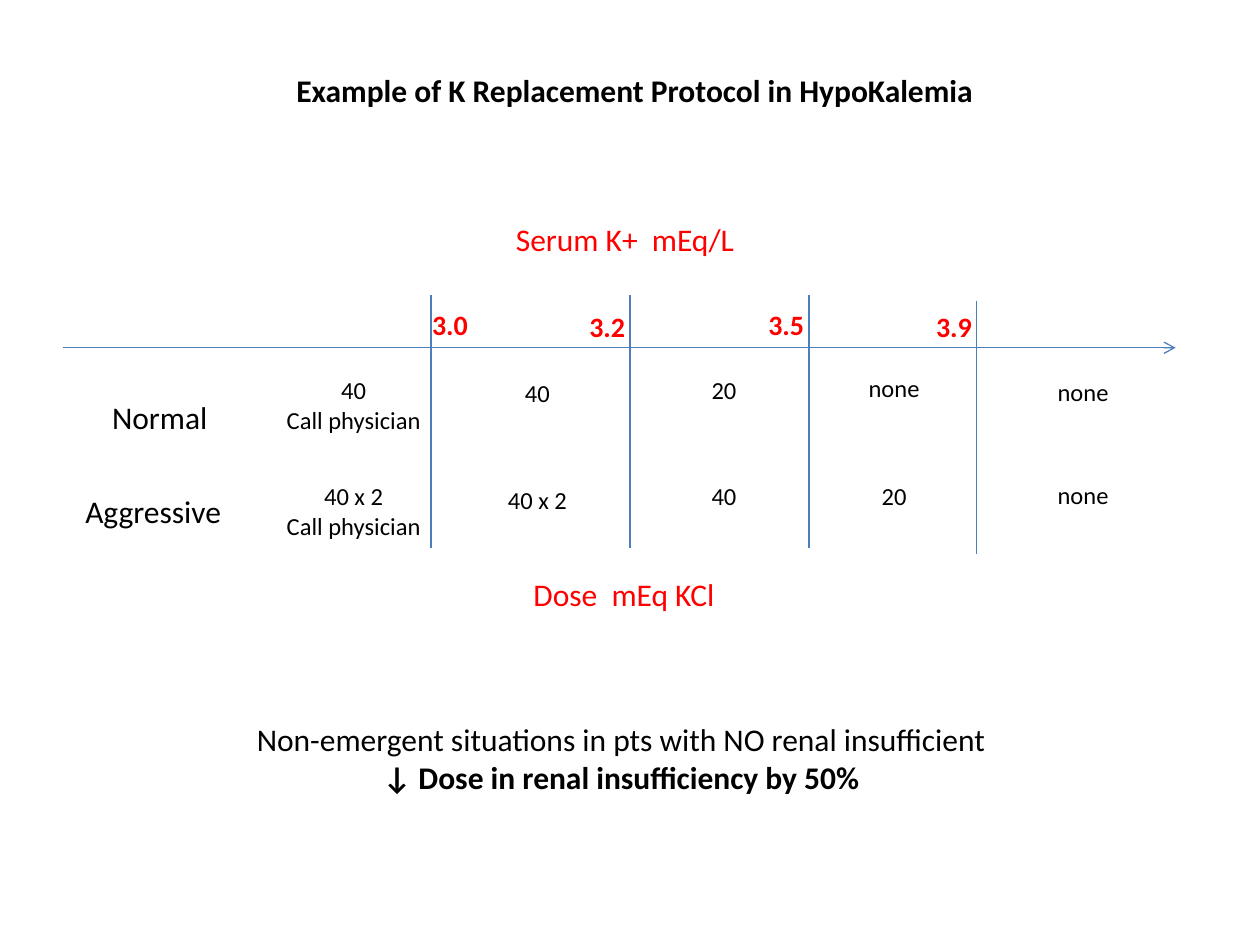
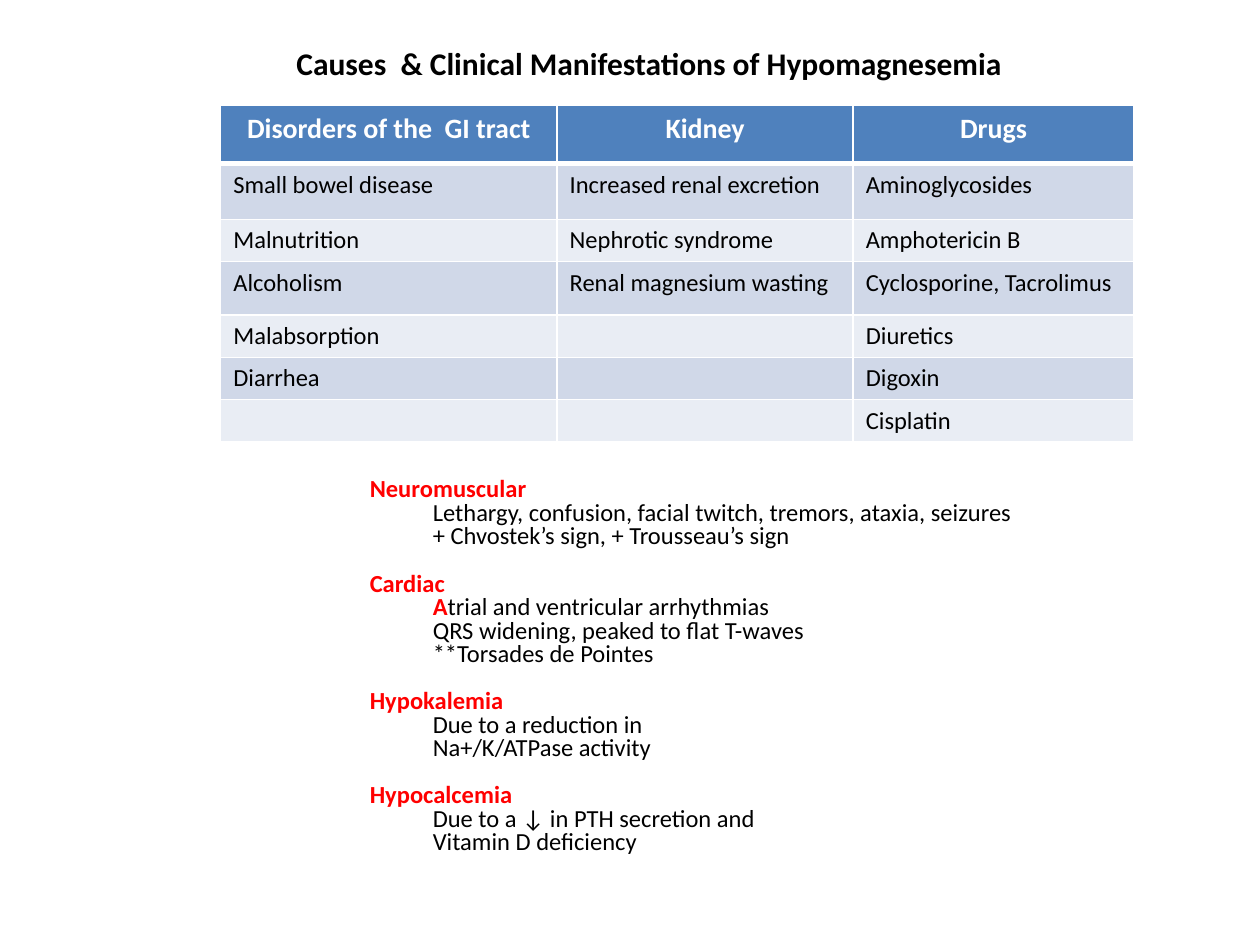
from lxml import etree
from pptx import Presentation
from pptx.dml.color import RGBColor
from pptx.enum.shapes import MSO_CONNECTOR
from pptx.enum.text import MSO_ANCHOR, MSO_AUTO_SIZE, PP_ALIGN
from pptx.oxml.ns import qn
from pptx.util import Cm, Pt

LEFT, CENTER = PP_ALIGN.LEFT, PP_ALIGN.CENTER
TOP = MSO_ANCHOR.TOP
NO_FIT = MSO_AUTO_SIZE.NONE
STRAIGHT = MSO_CONNECTOR.STRAIGHT

FONT = "Calibri"
BLACK = RGBColor(0x00, 0x00, 0x00)
WHITE = RGBColor(0xFF, 0xFF, 0xFF)
RED = RGBColor(0xFF, 0x00, 0x00)
LINE_BLUE = RGBColor(0x4B, 0x7E, 0xBC)
HEADER_BLUE = RGBColor(0x4F, 0x81, 0xBD)
BANDS = RGBColor(0xD0, 0xD8, 0xE8), RGBColor(0xE9, 0xED, 0xF4)

PROTOCOL_TITLE = "Example of K Replacement Protocol in HypoKalemia"
AXIS = 1.27, 23.7, 7.01
DIVIDER_HEIGHT = 5.1
THRESHOLDS = [
    ("3.0", 8.46, 6.07, 8.69, 5.94),
    ("3.2", 11.63, 6.12, 12.7, 5.94),
    ("3.5", 15.24, 6.07, 16.31, 5.94),
    ("3.9", 18.62, 6.12, 19.69, 6.07),
]
AXIS_CAPTIONS = [
    ("Serum K+  mEq/L", 9.96, 4.32, 5.28),
    ("Dose  mEq KCl", 10.46, 11.46, 4.24),
]
DOSE_COLUMNS = [(5.38, 3.5), (9.96, 1.75), (13.72, 1.75), (17.15, 1.75), (20.96, 1.75)]
REGIMENS = [
    ("Normal", 2.01, 7.9, [
        ("40\nCall physician", 7.44), ("40", 7.49), ("20", 7.44),
        ("none", 7.39), ("none", 7.47)]),
    ("Aggressive", 1.47, 9.8, [
        ("40 x 2\nCall physician", 9.58), ("40 x 2", 9.65), ("40", 9.58),
        ("20", 9.58), ("none", 9.55)]),
]
RENAL_NOTES = [
    ("Non-emergent situations in pts with NO renal insufficient", False),
    ("↓ Dose in renal insufficiency by 50%", True),
]

CAUSES_TITLE = "Causes  & Clinical Manifestations of Hypomagnesemia"
CAUSES = [
    ("Disorders of the  GI tract", "Kidney", "Drugs"),
    ("Small bowel disease", "Increased renal excretion", "Aminoglycosides"),
    ("Malnutrition", "Nephrotic syndrome", "Amphotericin B"),
    ("Alcoholism", "Renal magnesium wasting", "Cyclosporine, Tacrolimus"),
    ("Malabsorption", "", "Diuretics"),
    ("Diarrhea", "", "Digoxin"),
    ("", "", "Cisplatin"),
]
CAUSE_WIDTHS = 6.78, 5.97, 5.66
CAUSE_HEIGHTS = 1.17, 1.12, 0.84, 1.07, 0.84, 0.84, 0.84
MANIFESTATIONS = [
    ("Neuromuscular", [
        [("Lethargy, confusion, facial twitch, tremors, ataxia, seizures", False)],
        [("+ Chvostek’s sign, + Trousseau’s sign", False)]]),
    ("Cardiac", [
        [("A", True), ("trial and ventricular arrhythmias", False)],
        [("QRS widening, peaked to flat T-waves", False)],
        [("**Torsades de Pointes", False)]]),
    ("Hypokalemia", [
        [("Due to a reduction in", False)],
        [("Na+/K/ATPase activity", False)]]),
    ("Hypocalcemia", [
        [("Due to a ↓ in PTH secretion and", False)],
        [("Vitamin D deficiency", False)]]),
]


def add_run(p, text, size, color=BLACK, bold=False):
    r = p.add_run()
    r.text = text
    r.font.name = FONT
    r.font.size = Pt(size)
    r.font.bold = bold
    r.font.color.rgb = color


def next_paragraph(tf, index):
    return tf.add_paragraph() if index else tf.paragraphs[0]


def place(sp, left, top, width, height):
    sp.left, sp.top, sp.width, sp.height = Cm(left), Cm(top), Cm(width), Cm(height)
    tf = sp.text_frame
    tf.word_wrap = True
    tf.auto_size = NO_FIT
    tf.vertical_anchor = TOP
    return tf


def add_title(slide, text, top):
    p = place(slide.shapes.title, 5.72, top, 15.24, 1.02).paragraphs[0]
    p.alignment = LEFT
    add_run(p, text, 18, bold=True)


def add_text(slide, lines, left, top, width, size, color=BLACK, align=LEFT):
    height = round(0.25 + len(lines) * size * 0.043, 2)
    sp = slide.shapes.add_textbox(0, 0, 0, 0)
    tf = place(sp, left, top, width, height)
    for i, (text, bold) in enumerate(lines):
        p = next_paragraph(tf, i)
        p.alignment = align
        add_run(p, text, size, color, bold)


def add_line(slide, x1, y1, x2, y2, arrow=False):
    cx = slide.shapes.add_connector(STRAIGHT, Cm(x1), Cm(y1), Cm(x2), Cm(y2))
    cx.line.color.rgb = LINE_BLUE
    cx.line.width = Pt(0.75)
    if arrow:
        etree.SubElement(cx.line._get_or_add_ln(), qn("a:tailEnd"), type="arrow")
    etree.SubElement(cx._element.spPr, qn("a:effectLst"))


def set_borders(cell, header):
    tcPr = cell._tc.get_or_add_tcPr()
    for side in "LRTB":
        width = 3 if header and side == "B" else 1
        ln = etree.SubElement(tcPr, qn("a:ln" + side), w=str(Pt(width)))
        fill = etree.SubElement(ln, qn("a:solidFill"))
        etree.SubElement(fill, qn("a:srgbClr"), val=str(WHITE))


def build_protocol(prs):
    slide = prs.slides.add_slide(prs.slide_layouts[5])
    add_title(slide, PROTOCOL_TITLE, 1.3)
    start, end, y = AXIS
    add_line(slide, start, y, end, y, arrow=True)
    for value, left, top, x, line_top in THRESHOLDS:
        add_text(slide, [(value, True)], left, top, 1.27, 16, RED)
        add_line(slide, x, line_top, x, line_top + DIVIDER_HEIGHT)
    for text, left, top, width in AXIS_CAPTIONS:
        add_text(slide, [(text, False)], left, top, width, 18, RED, CENTER)
    for name, left, top, doses in REGIMENS:
        add_text(slide, [(name, False)], left, top, 3.6, 18)
        for (dose, dose_top), (dose_left, width) in zip(doses, DOSE_COLUMNS):
            lines = [(line, False) for line in dose.split("\n")]
            add_text(slide, lines, dose_left, dose_top, width, 14, align=CENTER)
    add_text(slide, RENAL_NOTES, 3.23, 14.4, 18.59, 18, align=CENTER)


def add_causes_table(slide):
    table = slide.shapes.add_table(
        len(CAUSES), len(CAUSE_WIDTHS), Cm(4.45), Cm(2.13),
        Cm(sum(CAUSE_WIDTHS)), Cm(sum(CAUSE_HEIGHTS))).table
    for column, width in zip(table.columns, CAUSE_WIDTHS):
        column.width = Cm(width)
    for i, (row, height) in enumerate(zip(CAUSES, CAUSE_HEIGHTS)):
        table.rows[i].height = Cm(height)
        header = i == 0
        for j, text in enumerate(row):
            cell = table.cell(i, j)
            set_borders(cell, header)
            cell.fill.solid()
            cell.fill.fore_color.rgb = HEADER_BLUE if header else BANDS[(i - 1) % 2]
            p = cell.text_frame.paragraphs[0]
            if header:
                p.alignment = CENTER
                add_run(p, text, 16, WHITE, True)
            elif text:
                add_run(p, text, 14)
            else:
                etree.SubElement(p._p, qn("a:endParaRPr"), sz="1400")


def add_manifestations(slide):
    tf = place(slide.placeholders[1], 7.2, 9.53, 13.76, 7.92)
    count = 0
    for heading, signs in MANIFESTATIONS:
        for level, runs in [(0, [(heading, True)])] + [(1, s) for s in signs]:
            p = next_paragraph(tf, count)
            p.level = level
            pPr = p._p.get_or_add_pPr()
            pPr.set("marL", str(Cm(1.27 * level)))
            pPr.set("indent", "0")
            etree.SubElement(pPr, qn("a:buNone"))
            p.line_spacing = 0.8
            p.space_before = Pt(13.5 if count and level == 0 else 0)
            for text, strong in runs:
                add_run(p, text, 14, RED if strong else BLACK, strong)
            count += 1


def build_causes(prs):
    slide = prs.slides.add_slide(prs.slide_layouts[1])
    add_title(slide, CAUSES_TITLE, 0.76)
    add_causes_table(slide)
    add_manifestations(slide)


def main():
    prs = Presentation()
    prs.slide_width, prs.slide_height = Cm(25.4), Cm(19.05)
    build_protocol(prs)
    build_causes(prs)
    prs.save("out.pptx")


if __name__ == "__main__":
    main()
